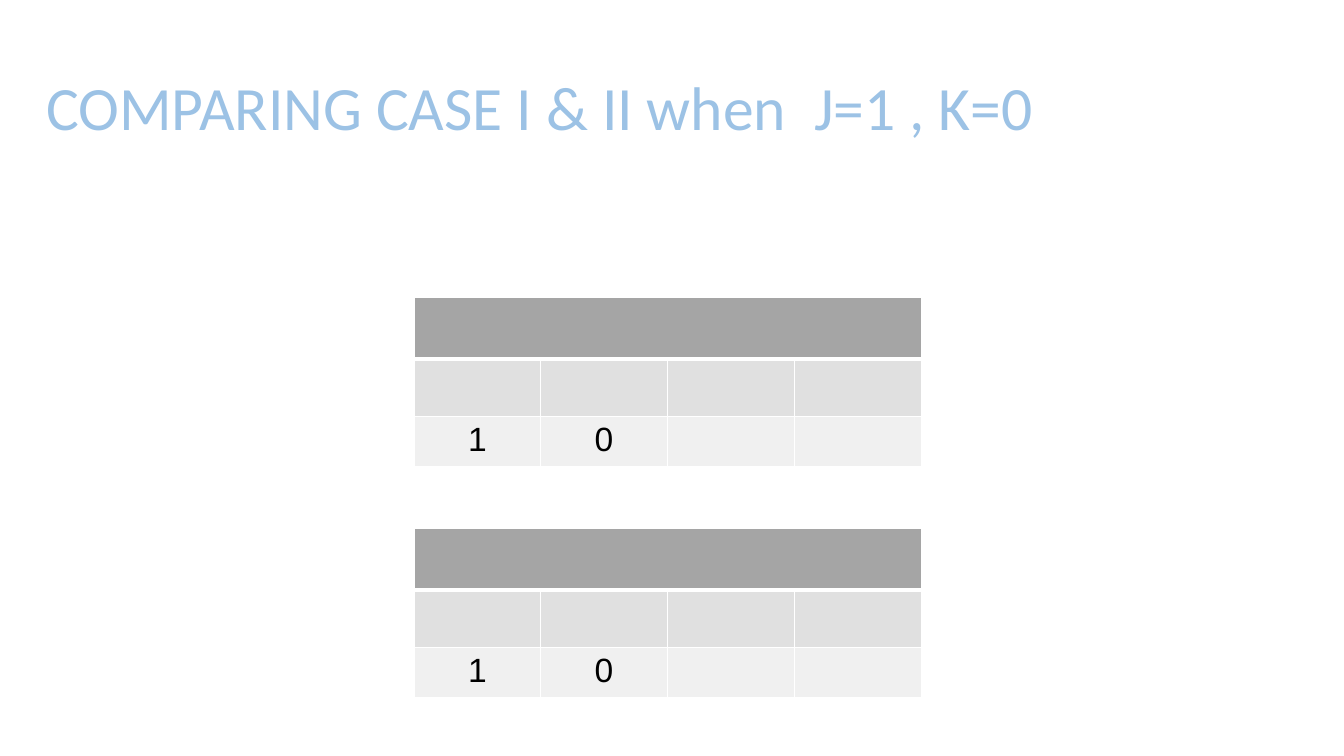
from lxml.etree import SubElement
from pptx import Presentation
from pptx.dml.color import RGBColor
from pptx.enum.text import MSO_ANCHOR, PP_ALIGN
from pptx.oxml.ns import qn
from pptx.util import Cm, Pt

COLUMN_WIDTHS = [3.18, 3.2, 3.2, 3.2]
ROW_HEIGHTS = [1.55, 1.44, 1.27]
ROW_FILLS = ["A5A5A5", "E0E0E0", "F0F0F0"]
TABLE_LEFT = 10.44
TABLE_TOPS = [7.5, 13.32]
INPUT_VALUES = ["1", "0"]


def color(hex_text):
    return RGBColor.from_string(hex_text)


def format_font(font, name, size, hex_text):
    for key, value in {"name": name, "size": Pt(size), "bold": False}.items():
        setattr(font, key, value)
    font.color.rgb = color(hex_text)


def add_title(page, text):
    title = page.shapes.title
    frame_format = {"left": Cm(0.91), "top": Cm(0.94),
                    "width": Cm(31.83), "height": Cm(3.68)}
    for key, value in frame_format.items():
        setattr(title, key, value)
    box = title.text_frame
    box.word_wrap = True
    box.vertical_anchor = MSO_ANCHOR.MIDDLE
    para = box.paragraphs[0]
    para.alignment = PP_ALIGN.LEFT
    para.line_spacing = 0.9
    span = para.add_run()
    span.text = text
    format_font(span.font, "Calibri", 44, "9CC2E5")


def set_borders(cell, widths):
    properties = cell._tc.get_or_add_tcPr()
    for side in "LRTB":
        line = SubElement(properties, qn(f"a:ln{side}"), w=str(Pt(widths.get(side, 1))))
        fill = SubElement(line, qn("a:solidFill"))
        SubElement(fill, qn("a:srgbClr"), val="FFFFFF")


def write_value(cell, text):
    para = cell.text_frame.paragraphs[0]
    para.alignment = PP_ALIGN.CENTER
    span = para.add_run()
    span.text = text
    format_font(span.font, "Arial", 24, "000000")


def add_state_table(page, top):
    frame = page.shapes.add_table(
        len(ROW_HEIGHTS), len(COLUMN_WIDTHS), Cm(TABLE_LEFT), Cm(top),
        Cm(sum(COLUMN_WIDTHS)), Cm(sum(ROW_HEIGHTS)))
    table = frame.table
    table.first_row = table.horz_banding = False
    for column, width in zip(table.columns, COLUMN_WIDTHS):
        column.width = Cm(width)

    # Fills and borders, with a thick line under the header
    thick_sides = [{"B": 3}, {"T": 3}, {}]
    for row, height, fill, widths in zip(table.rows, ROW_HEIGHTS, ROW_FILLS, thick_sides):
        row.height = Cm(height)
        for cell in row.cells:
            set_borders(cell, widths)
            cell.fill.solid()
            cell.fill.fore_color.rgb = color(fill)

    # Header across all columns, J and K values in the last row
    table.cell(0, 0).merge(table.cell(0, len(COLUMN_WIDTHS) - 1))
    for index, text in enumerate(INPUT_VALUES):
        write_value(table.cell(2, index), text)


def main():
    deck = Presentation()
    deck.slide_width, deck.slide_height = Cm(33.87), Cm(19.05)
    page = deck.slides.add_slide(deck.slide_layouts[5])
    add_title(page, "COMPARING CASE I & II when  J=1 , K=0")
    for top in TABLE_TOPS:
        add_state_table(page, top)
    deck.save("out.pptx")


if __name__ == "__main__":
    main()
